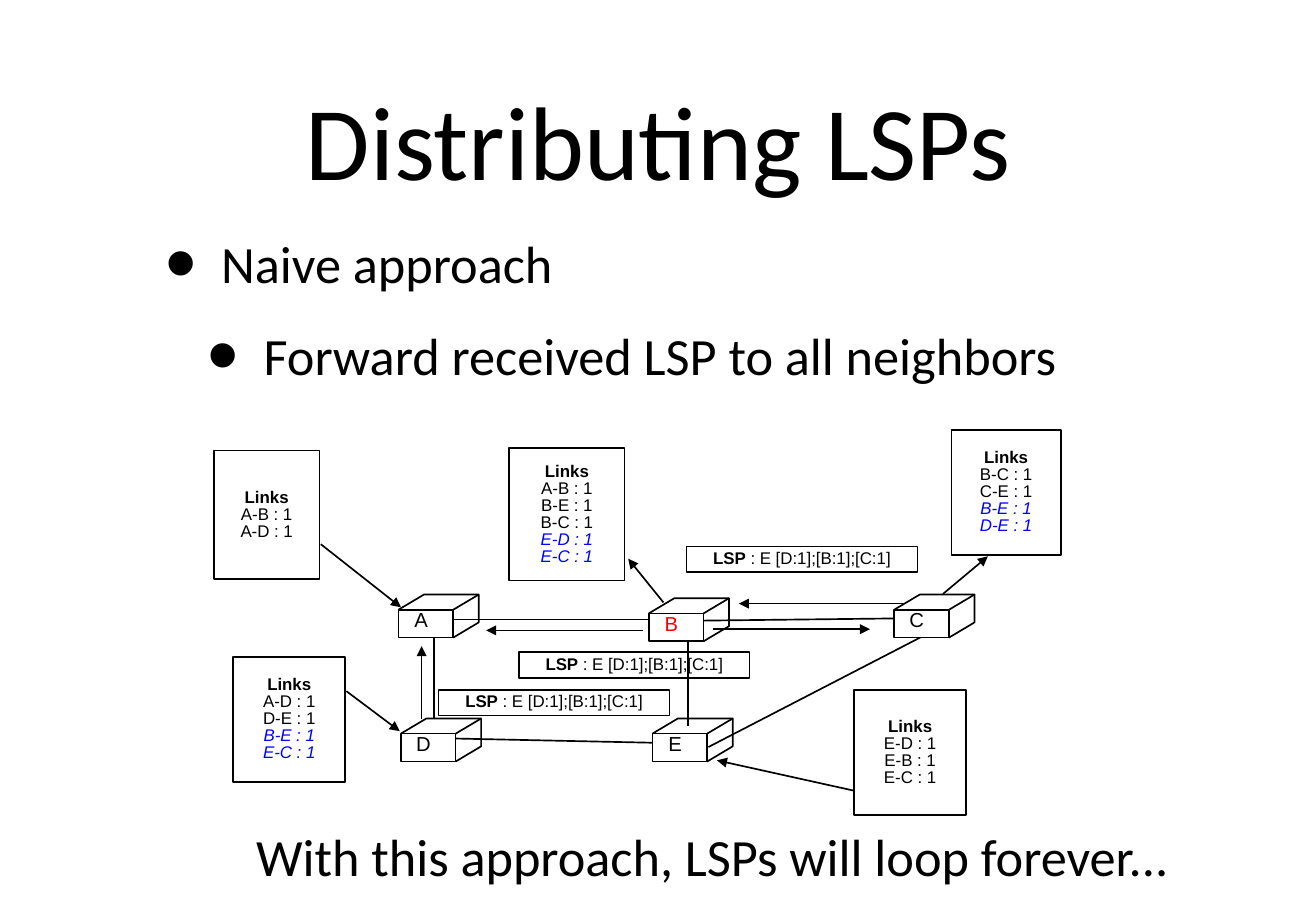
from lxml import etree
from pptx import Presentation
from pptx.dml.color import RGBColor
from pptx.enum.shapes import MSO_CONNECTOR, MSO_SHAPE
from pptx.enum.text import MSO_ANCHOR, MSO_AUTO_SIZE, PP_ALIGN
from pptx.oxml.ns import qn
from pptx.util import Inches, Pt

RECTANGLE, STRAIGHT = MSO_SHAPE.RECTANGLE, MSO_CONNECTOR.STRAIGHT
TOP, MIDDLE = MSO_ANCHOR.TOP, MSO_ANCHOR.MIDDLE
LEFT, CENTER = PP_ALIGN.LEFT, PP_ALIGN.CENTER
NO_AUTOFIT = MSO_AUTO_SIZE.NONE

CELL = 0.1
COLUMNS, ROWS = 108.3, 75
BLACK, WHITE, RED, BLUE = "000000", "FFFFFF", "FF0000", "0000FF"
FACE_WIDTH, FACE_HEIGHT = 4.5, 2.3
DEPTH_X, DEPTH_Y = 2.1, 1.25
LSP_SIZE = (19, 2.1)
LSP_LINKS = " : E [D:1];[B:1];[C:1]"

ROUTERS = [
    ("A", 32.8, 50.2, BLACK), ("B", 53.4, 50.5, RED), ("C", 73.6, 50.2, BLACK),
    ("D", 33, 60.4, BLACK), ("E", 53.7, 60.4, BLACK),
]
LINKS = [
    (35.7, 52.4, 35.7, 59.2), (37.4, 60.8, 56, 61.2), (37, 51, 55.7, 51),
    (56.6, 52.3, 56.6, 59.8), (58.3, 61.5, 75.9, 52.4), (57.4, 51.1, 75.1, 50.9),
]
LINK_TABLES = [
    ((17.6, 37.1, 8.7, 10.6), ["A-B", "A-D"], []),
    ((41.9, 36.9, 9.5, 10.9), ["A-B", "B-E", "B-C"], ["E-D", "E-C"]),
    ((78.3, 35.4, 9, 10.3), ["B-C", "C-E"], ["B-E", "D-E"]),
    ((19.2, 54.1, 9.2, 10.3), ["A-D", "D-E"], ["B-E", "E-C"]),
    ((70.3, 56.8, 9.2, 10.3), ["E-D", "E-B", "E-C"], []),
]
TABLE_POINTERS = [
    (26.4, 44.8, 33, 50), (54.6, 49.6, 51.7, 46), (77.6, 48.9, 81.3, 45.8),
    (28.5, 56.9, 32.9, 60.2), (70.3, 65.1, 59, 62.6),
]
LSP_LABELS = [(42.7, 53.7), (56.5, 45), (36.1, 56.8)]
LSP_FLOWS = [
    (52.9, 51.9, 40, 51.9), (58.7, 51.8, 71.6, 51.8),
    (74.3, 49.7, 60.8, 49.7), (34.7, 59.2, 34.7, 53.2),
]


def cells(*counts):
    """Turn counts of grid cells into slide lengths."""
    return [Inches(count * CELL) for count in counts]


def color(hex_code):
    """Return the colour for a hex string."""
    return RGBColor.from_string(hex_code)


def write(frame, paragraphs, font="Arial", size=10, hue=BLACK, align=CENTER,
          anchor=MIDDLE, spacing=None, margins=(0, 0, 0, 0)):
    """Fill a text frame with paragraphs of (text, format) runs."""
    frame.auto_size = NO_AUTOFIT
    frame.word_wrap = True
    frame.vertical_anchor = anchor
    (frame.margin_left, frame.margin_top,
     frame.margin_right, frame.margin_bottom) = cells(*margins)
    for index, runs in enumerate(paragraphs):
        paragraph = frame.add_paragraph() if index else frame.paragraphs[0]
        paragraph.alignment = align
        if spacing:
            paragraph.line_spacing = spacing
        for text, style in runs:
            run = paragraph.add_run()
            run.text = text
            run.font.name = font
            run.font.size = Pt(size)
            run.font.bold = style.get("bold", False)
            run.font.italic = style.get("italic", False)
            run.font.color.rgb = color(style.get("hue", hue))


def place(holder, left, top, width, height):
    """Move a placeholder to a place on the grid."""
    (holder.left, holder.top,
     holder.width, holder.height) = cells(left, top, width, height)


def outline(shape, fill=None):
    """Give a shape a thin black outline and an optional fill."""
    shape.shadow.inherit = False
    shape.line.color.rgb = color(BLACK)
    shape.line.width = Pt(1)
    if fill:
        shape.fill.solid()
        shape.fill.fore_color.rgb = color(fill)
    else:
        shape.fill.background()


def add_box(slide, area, paragraphs, fill=None, **text_format):
    """Draw an outlined rectangle holding text."""
    box = slide.shapes.add_shape(RECTANGLE, *cells(*area))
    outline(box, fill)
    write(box.text_frame, paragraphs, **text_format)


def add_line(slide, ends, arrow=False):
    """Draw a straight line, with an arrowhead at its end if asked."""
    line = slide.shapes.add_connector(STRAIGHT, *cells(*ends))
    line.line.color.rgb = color(BLACK)
    line.line.width = Pt(1)
    if arrow:
        etree.SubElement(line.line._get_or_add_ln(), qn("a:tailEnd"), type="triangle")
    etree.SubElement(line._element.spPr, qn("a:effectLst"))


def add_router(slide, name, left, top, hue):
    """Draw a router as an open cube with a labelled front face."""
    right, bottom = left + FACE_WIDTH, top + FACE_HEIGHT
    back_right, back_top = right + DEPTH_X, top - DEPTH_Y
    add_box(slide, (left, top, FACE_WIDTH, FACE_HEIGHT), [[(name, {})]],
            fill=WHITE, size=12, hue=hue, spacing=0.84, margins=(0, 0, 0.8, 0.3))
    builder = slide.shapes.build_freeform(*cells(left, top), scale=1.0)
    builder.add_line_segments(
        [cells(left + DEPTH_X, back_top), cells(back_right, back_top),
         cells(back_right, bottom - DEPTH_Y), cells(right, bottom)], close=False)
    outline(builder.convert_to_shape())
    add_line(slide, (right, top, back_right, back_top))


def add_link_table(slide, area, own, learned):
    """Draw a router's known links, with the learned ones in blue italics."""
    learned_style = {"hue": BLUE, "italic": True}
    rows = [[("Links", {"bold": True})]]
    rows += [[(f"{link} : 1", {})] for link in own]
    rows += [[(f"{link} : 1", learned_style)] for link in learned]
    add_box(slide, area, rows, spacing=0.84)


def add_bullets(holder, items):
    """Write bulleted items, each one level deeper than the last."""
    write(holder.text_frame, [[(item, {})] for item in items], font="Calibri",
          size=31, align=LEFT, anchor=TOP, margins=(0.4,) * 4)
    for level, paragraph in enumerate(holder.text_frame.paragraphs):
        paragraph.level = level
        paragraph.space_before = Pt(17.7 * level)
        properties = paragraph._p.get_or_add_pPr()
        properties.set("marL", str(Inches(0.72 + 0.35 * level)))
        properties.set("indent", str(Inches(-0.46)))
        etree.SubElement(properties, qn("a:buSzPct"), val="171000")
        etree.SubElement(properties, qn("a:buFont"), typeface="Arial")
        etree.SubElement(properties, qn("a:buChar"), char="•")


def main():
    """Build the slide and save it."""
    deck = Presentation()
    deck.slide_width, deck.slide_height = cells(COLUMNS, ROWS)
    slide = deck.slides.add_slide(deck.slide_layouts[1])
    title, body = slide.placeholders
    place(title, 10.6, 2, 87.2, 18.8)
    write(title.text_frame, [[("Distributing LSPs", {})]], font="Calibri",
          size=62, margins=(0.4,) * 4)
    place(body, 10.6, 18.6, 87.2, 14)
    add_bullets(body, ["Naive approach", "Forward received LSP to all neighbors"])

    for link in LINKS:
        add_line(slide, link)
    for router in ROUTERS:
        add_router(slide, *router)
    for table in LINK_TABLES:
        add_link_table(slide, *table)
    for arrow in TABLE_POINTERS + LSP_FLOWS:
        add_line(slide, arrow, arrow=True)
    for corner in LSP_LABELS:
        add_box(slide, corner + LSP_SIZE,
                [[("LSP", {"bold": True}), (LSP_LINKS, {})]], spacing=0.84)

    conclusion = slide.shapes.add_textbox(*cells(20.1, 67.4, 78.3, 6.2))
    write(conclusion.text_frame,
          [[("With this approach, LSPs will loop forever...", {})]],
          font="Calibri", size=31, align=LEFT, anchor=TOP, margins=(1, 0.5, 1, 0.5))
    deck.save("out.pptx")


if __name__ == "__main__":
    main()
